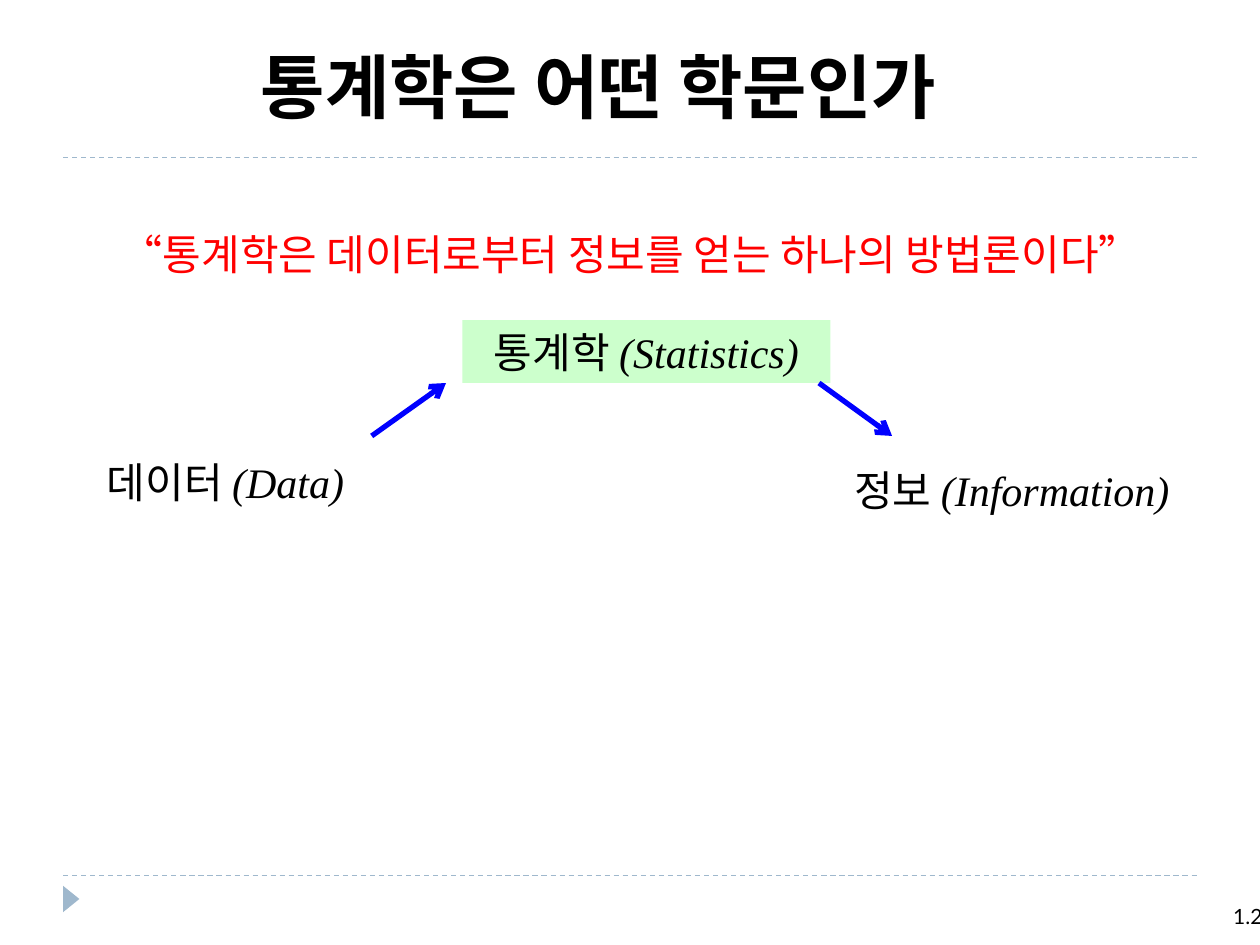
from lxml.etree import SubElement
from pptx import Presentation
from pptx.dml.color import RGBColor
from pptx.enum.dml import MSO_LINE
from pptx.enum.shapes import MSO_CONNECTOR, MSO_SHAPE
from pptx.enum.text import MSO_ANCHOR, PP_ALIGN
from pptx.oxml.ns import qn
from pptx.util import Inches, Pt

BLACK = RGBColor(0x00, 0x00, 0x00)
WHITE = RGBColor(0xFF, 0xFF, 0xFF)
RED = RGBColor(0xFF, 0x00, 0x00)
BLUE = RGBColor(0x00, 0x00, 0xFF)
STEEL = RGBColor(0x9F, 0xB8, 0xCD)
MINT = RGBColor(0xCC, 0xFF, 0xCC)
KOREAN = "Noto Sans CJK KR"
LATIN = "Times New Roman"


def add_run(para, text, size=24, face=KOREAN, color=BLACK, bold=False, italic=False):
    run = para.add_run()
    run.text = text
    font = run.font
    font.size = Pt(size)
    font.bold = bold
    font.italic = italic
    font.color.rgb = color
    font.name = face
    SubElement(run._r.get_or_add_rPr(), qn("a:ea")).set("typeface", face)


class Deck:
    def __init__(self):
        self.show = Presentation()
        self.show.slide_width = Inches(10)
        self.show.slide_height = Inches(7.5)
        self.slide = self.show.slides.add_slide(self.show.slide_layouts[6])

    def shape(self, kind, place, fill, turn=0):
        item = self.slide.shapes.add_shape(kind, *map(Inches, place))
        item.shadow.inherit = False
        item.fill.solid()
        item.fill.fore_color.rgb = fill
        item.line.fill.background()
        item.rotation = turn
        return item

    def line(self, start, end, color, width, dash=False, arrow=False):
        item = self.slide.shapes.add_connector(
            MSO_CONNECTOR.STRAIGHT, *map(Inches, start + end))
        item.line.color.rgb = color
        item.line.width = Pt(width)
        if dash:
            item.line.dash_style = MSO_LINE.DASH
        if arrow:
            SubElement(item.line._get_or_add_ln(), qn("a:tailEnd")).set("type", "arrow")
        SubElement(item._element.spPr, qn("a:effectLst"))

    def text(self, place, words, align=PP_ALIGN.CENTER, anchor=MSO_ANCHOR.MIDDLE, **style):
        box = self.slide.shapes.add_textbox(*map(Inches, place))
        return self.fill(box, words, align, anchor, **style)

    def fill(self, box, words, align=PP_ALIGN.CENTER, anchor=MSO_ANCHOR.MIDDLE,
             top=0, **style):
        frame = box.text_frame
        frame.word_wrap = True
        frame.vertical_anchor = anchor
        frame.margin_left = frame.margin_right = frame.margin_bottom = 0
        frame.margin_top = Inches(top)
        para = frame.paragraphs[0]
        para.alignment = align
        add_run(para, words, **style)
        return para

    def term(self, place, korean, english):
        para = self.text(place, korean + " ")
        add_run(para, f"({english})", face=LATIN, italic=True)


def main():
    deck = Deck()
    for y in (6.95, 1.25):
        deck.line((0.5, y), (9.5, y), STEEL, 0.75, dash=True)
    deck.shape(MSO_SHAPE.ISOSCELES_TRIANGLE, (0.46, 7.07, 0.21, 0.13), STEEL, turn=90)
    deck.text((7.92, 7.17, 2.1, 0.28), "1.2", align=PP_ALIGN.RIGHT,
              anchor=MSO_ANCHOR.TOP, size=12, face="Lato")

    body = deck.shape(MSO_SHAPE.RECTANGLE, (0.2, 1.31, 9.61, 5.35), WHITE)
    deck.fill(body, "“통계학은 데이터로부터 정보를 얻는 하나의 방법론이다”",
              anchor=MSO_ANCHOR.TOP, top=0.5, color=RED)

    deck.shape(MSO_SHAPE.RECTANGLE, (3.67, 2.54, 2.92, 0.5), MINT)
    deck.term((0.5, 3.59, 2.58, 0.46), "데이터", "Data")
    deck.term((3.67, 2.56, 2.92, 0.46), "통계학", "Statistics")
    deck.term((6.57, 3.66, 2.92, 0.46), "정보", "Information")
    deck.line((2.95, 3.46), (3.54, 3.04), BLUE, 3, arrow=True)
    deck.line((6.5, 3.04), (7.08, 3.46), BLUE, 3, arrow=True)

    deck.text((1.19, 0.21, 7.12, 0.93), "통계학은 어떤 학문인가", size=40, bold=True)
    deck.show.save("out.pptx")


if __name__ == "__main__":
    main()
